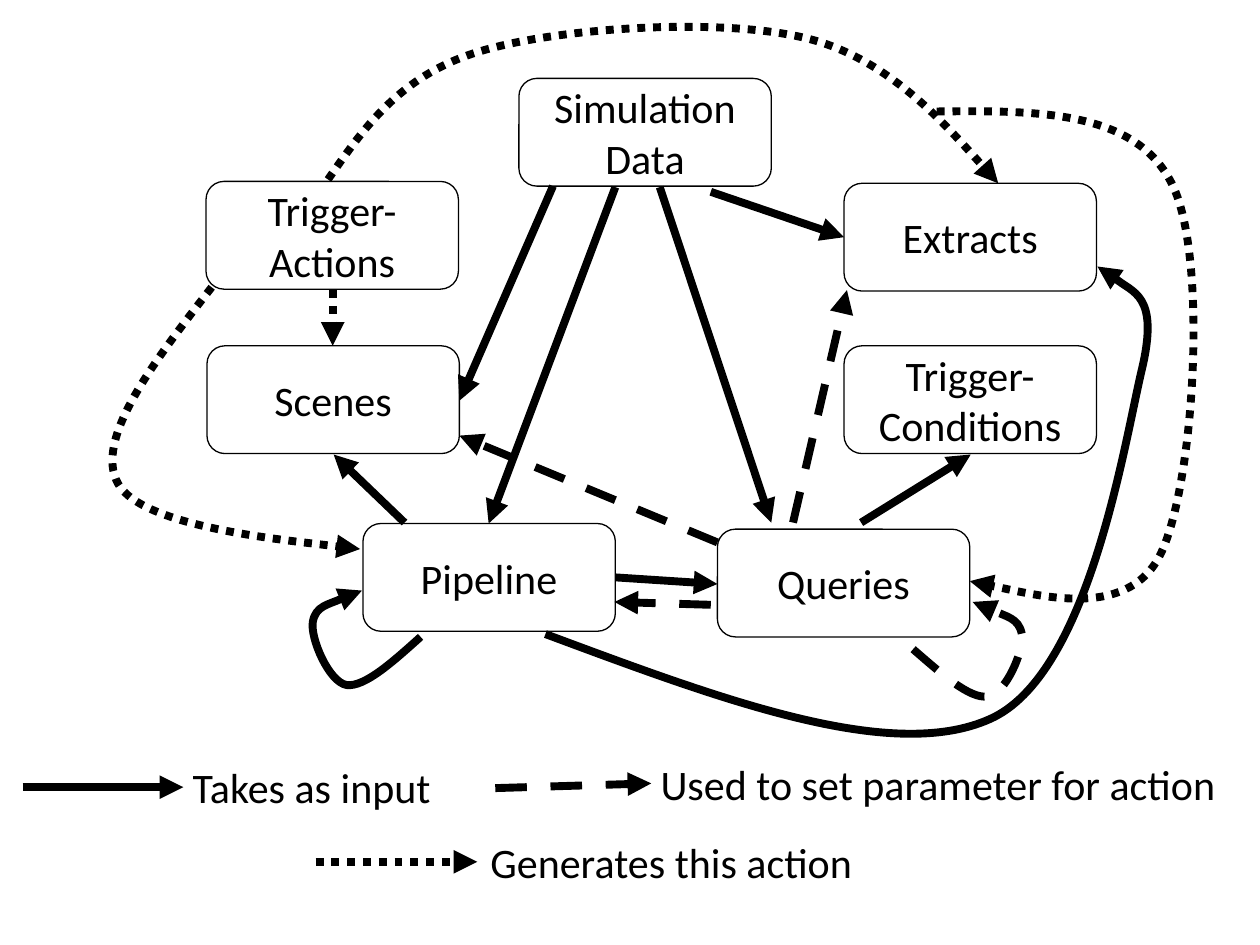
from dataclasses import dataclass
from typing import Any, NamedTuple

from lxml import etree
from pptx import Presentation
from pptx.dml.color import RGBColor
from pptx.enum.dml import MSO_LINE
from pptx.enum.shapes import MSO_CONNECTOR, MSO_SHAPE
from pptx.enum.text import MSO_ANCHOR, MSO_AUTO_SIZE, PP_ALIGN
from pptx.oxml.ns import qn
from pptx.util import Emu, Pt

PX = 9144
STRAIGHT = MSO_CONNECTOR.STRAIGHT
ROUNDED = MSO_SHAPE.ROUNDED_RECTANGLE
MIDDLE, CENTER = MSO_ANCHOR.MIDDLE, PP_ALIGN.CENTER
FIT_SHAPE = MSO_AUTO_SIZE.SHAPE_TO_FIT_TEXT
INPUT, PARAMETER, GENERATES = None, MSO_LINE.DASH, MSO_LINE.ROUND_DOT


@dataclass(frozen=True)
class Theme:
    ink: RGBColor = RGBColor(0, 0, 0)
    font: str = "Calibri"
    text_size: Pt = Pt(32)
    box_line: Pt = Pt(1)
    arrow_line: Pt = Pt(6)


THEME = Theme()


class Point(NamedTuple):
    x: int
    y: int


class Node(NamedTuple):
    text: str
    x: int
    y: int


class Arrow(NamedTuple):
    dash: Any
    start: Point
    end: Point


class Bezier(NamedTuple):
    c1: Point
    c2: Point
    end: Point


class Curve(NamedTuple):
    dash: Any
    start: Point
    segments: list[Bezier]


class Label(NamedTuple):
    text: str
    x: int
    y: int
    w: int


def curve(dash: Any, start: tuple, *segments: tuple) -> Curve:
    return Curve(dash, Point(*start), [
        Bezier(Point(*s[:2]), Point(*s[2:4]), Point(*s[4:])) for s in segments])


SLIDE_W, SLIDE_H = 1333, 1000
NODE_W, NODE_H = 267, 114
LABEL_H = 64

NODES = [
    Node("Simulation Data", 549, 83),
    Node("Trigger-Actions", 218, 192),
    Node("Extracts", 893, 194),
    Node("Scenes", 219, 366),
    Node("Queries", 759, 560),
    Node("Pipeline", 384, 554),
    Node("Trigger-Conditions", 893, 366),
]

ARROWS = [
    Arrow(INPUT, Point(651, 611), Point(759, 618)),
    Arrow(INPUT, Point(651, 198), Point(517, 554)),
    Arrow(INPUT, Point(698, 198), Point(816, 553)),
    Arrow(INPUT, Point(911, 553), Point(1027, 481)),
    Arrow(INPUT, Point(752, 203), Point(893, 251)),
    Arrow(INPUT, Point(585, 197), Point(486, 424)),
    Arrow(INPUT, Point(428, 553), Point(353, 481)),
    Arrow(INPUT, Point(24, 833), Point(194, 833)),
    Arrow(PARAMETER, Point(839, 553), Point(896, 307)),
    Arrow(PARAMETER, Point(524, 834), Point(689, 829)),
    Arrow(PARAMETER, Point(752, 640), Point(650, 637)),
    Arrow(PARAMETER, Point(759, 574), Point(486, 461)),
    Arrow(GENERATES, Point(334, 912), Point(505, 912)),
    Arrow(GENERATES, Point(352, 307), Point(352, 366)),
]

CURVES = [
    curve(INPUT, (445, 674), (415, 701, 386, 727, 367, 725),
          (348, 722, 328, 675, 331, 658), (334, 641, 383, 625, 383, 625)),
    curve(INPUT, (577, 671), (760, 739, 942, 808, 1047, 761),
          (1152, 715, 1189, 471, 1208, 391), (1227, 311, 1161, 282, 1161, 282)),
    curve(GENERATES, (347, 190), (386, 134, 424, 79, 509, 54),
          (593, 29, 764, 18, 855, 41), (946, 64, 1056, 194, 1056, 194)),
    curve(GENERATES, (224, 304), (161, 385, 99, 466, 125, 512),
          (151, 558, 381, 581, 381, 581)),
    curve(GENERATES, (991, 118), (1096, 117, 1201, 116, 1240, 195),
          (1279, 273, 1263, 518, 1227, 588), (1191, 658, 1026, 615, 1026, 615)),
    curve(PARAMETER, (966, 687), (996, 713, 1026, 740, 1045, 737),
          (1064, 735, 1084, 687, 1081, 671), (1078, 654, 1029, 637, 1029, 637)),
]

LABELS = [
    Label("Takes as input", 194, 801, 275),
    Label("Used to set parameter for action", 689, 798, 613),
    Label("Generates this action", 509, 880, 407),
]


def emu(*lengths: int) -> list[Emu]:
    return [Emu(n * PX) for n in lengths]


def set_format(obj: Any, values: dict[str, Any]) -> None:
    for name, value in values.items():
        setattr(obj, name, value)


def write(tf: Any, text: str, frame: dict[str, Any], align: Any = None) -> None:
    set_format(tf, frame)
    p = tf.paragraphs[0]
    p.alignment = align
    r = p.add_run()
    r.text = text
    set_format(r.font, {"name": THEME.font, "size": THEME.text_size})
    r.font.color.rgb = THEME.ink


def style_line(sp: Any, width: Pt, dash: Any = None) -> None:
    sp.line.color.rgb = THEME.ink
    set_format(sp.line, {"width": width, "dash_style": dash})


def add_head(sp: Any) -> None:
    ln = sp._element.spPr.find(qn("a:ln"))
    etree.SubElement(ln, qn("a:tailEnd"), type="triangle")


def draw_node(shapes: Any, node: Node) -> None:
    sp = shapes.add_shape(ROUNDED, *emu(node.x, node.y, NODE_W, NODE_H))
    sp.shadow.inherit = False
    sp.fill.background()
    style_line(sp, THEME.box_line)
    write(sp.text_frame, node.text,
          {"word_wrap": True, "vertical_anchor": MIDDLE}, CENTER)


def draw_arrow(shapes: Any, arrow: Arrow) -> None:
    sp = shapes.add_connector(STRAIGHT, *emu(*arrow.start, *arrow.end))
    style_line(sp, THEME.arrow_line, arrow.dash)
    add_head(sp)
    etree.SubElement(sp._element.spPr, qn("a:effectLst"))


def draw_curve(shapes: Any, item: Curve) -> None:
    anchors = [item.start, *(s.end for s in item.segments)]
    left, top = (min(values) for values in zip(*anchors))
    builder = shapes.build_freeform(*item.start, scale=PX)
    builder.add_line_segments(anchors[1:], close=False)
    sp = builder.convert_to_shape()
    lines = list(sp._element.iter(qn("a:lnTo")))
    for line, segment in zip(lines, item.segments):
        bezier = etree.Element(qn("a:cubicBezTo"))
        for pt in segment:
            etree.SubElement(bezier, qn("a:pt"),
                             x=str(pt.x - left), y=str(pt.y - top))
        line.getparent().replace(line, bezier)
    sp.shadow.inherit = False
    sp.fill.background()
    style_line(sp, THEME.arrow_line, item.dash)
    add_head(sp)


def draw_label(shapes: Any, label: Label) -> None:
    sp = shapes.add_textbox(*emu(label.x, label.y, label.w, LABEL_H))
    write(sp.text_frame, label.text,
          {"word_wrap": False, "auto_size": FIT_SHAPE})


def main() -> None:
    prs = Presentation()
    prs.slide_width, prs.slide_height = emu(SLIDE_W, SLIDE_H)
    shapes = prs.slides.add_slide(prs.slide_layouts[6]).shapes
    for draw, items in ((draw_node, NODES), (draw_arrow, ARROWS),
                        (draw_curve, CURVES), (draw_label, LABELS)):
        for item in items:
            draw(shapes, item)
    prs.save("out.pptx")


if __name__ == "__main__":
    main()
